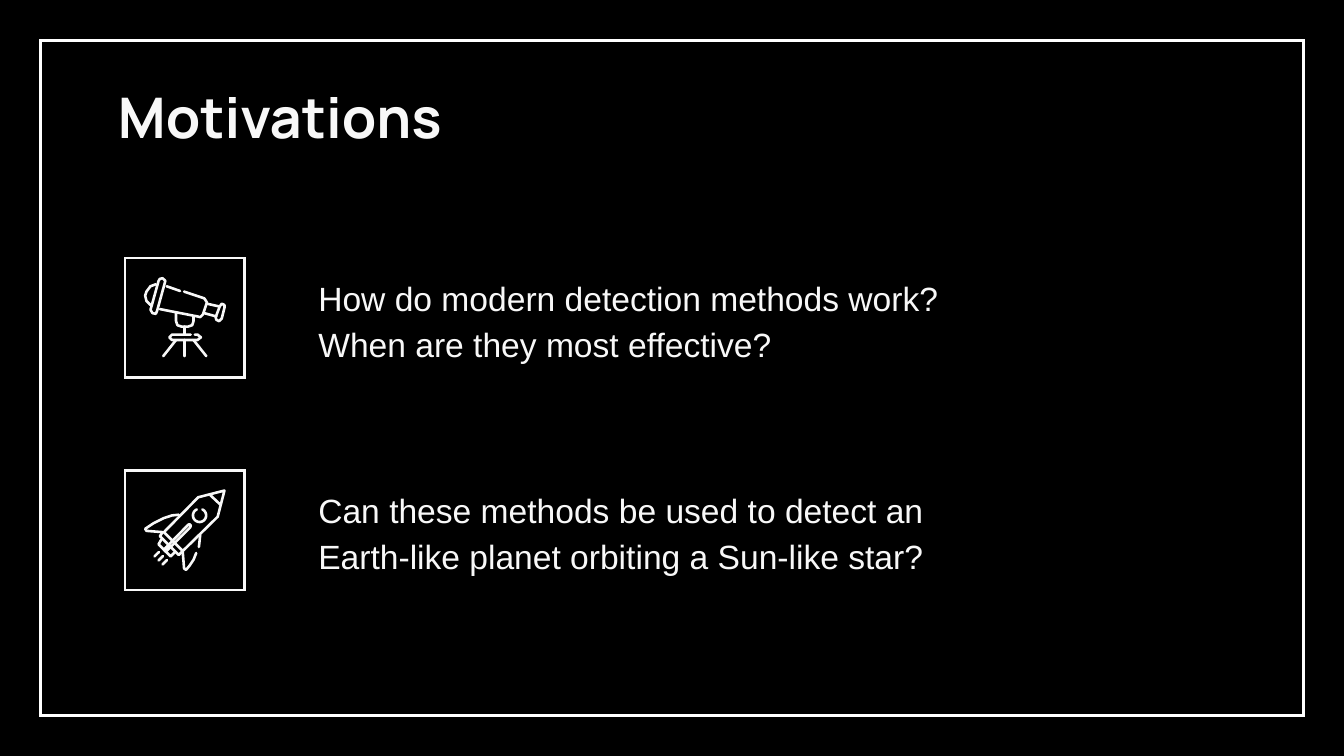
from math import cos, radians, sin

from lxml.etree import SubElement
from pptx import Presentation
from pptx.dml.color import RGBColor
from pptx.enum.shapes import MSO_SHAPE
from pptx.enum.text import MSO_ANCHOR
from pptx.oxml.ns import qn
from pptx.util import Inches, Pt

COLORS = {"space": "000000", "frame": "FFFFFF", "ink": "F8F8F8"}
WIDTH = 10
HEIGHT = WIDTH * 9 / 16
MARGIN = 0.03 * WIDTH
TILE = 0.89
TILE_LEFT, TEXT_LEFT, TEXT_WIDTH = 0.93, 2.27, 5.32
FIRST_ROW, ROW_STEP = 1.92, 1.58
TITLE_BOX = (0.78, 0.59, WIDTH - 2 * 0.78, 0.7)
TITLE_FORMAT = {"name": "Manrope", "size": Pt(30), "bold": True}
QUESTION_FORMAT = {"name": "Arial", "size": Pt(18), "bold": False}

TELESCOPE = [
    [(23, 19.5), (19, 21), (16, 25), (15, 28), (16, 32), (19, 35)],
    [(28, 15), (30, 17), (29.5, 19), (24, 39), (23, 41.5), (20.5, 41),
     (19, 38.5), (20, 35), (25, 17), (26, 15.5), (28, 15)],
    [(31, 21), (41, 24.5)],
    [(44, 25), (59, 30), (61, 33), (58, 42), (56, 44), (54, 43.5), (26, 38)],
    [(61, 34), (70, 36)],
    [(59, 41), (68, 43.5)],
    [(72, 34), (74, 35), (74, 37), (72, 45), (70, 47), (68, 46),
     (67.5, 44), (70.5, 36), (72, 34)],
    [(38, 41), (38, 47), (39, 50), (42, 51), (47, 51), (50, 50), (51, 47), (51, 44)],
    [(44.5, 51), (44.5, 57)],
    [(49, 57), (35, 57), (33, 59), (35, 61), (54, 61), (56.5, 59), (54, 57), (52, 57)],
    [(38, 61), (28.5, 73)],
    [(44.5, 61), (44.5, 73)],
    [(51, 61), (60.5, 73)],
]
PORTHOLE = [(55.5 + 4.9 * cos(radians(a)), 33.5 + 4.9 * sin(radians(a)))
            for a in range(-65, 246, 10)]
FLAMES = [[(25.3 + d, 60.7 + d), (22 + d, 64 + d)] for d in (0, 3, 6)]
ROCKET = [
    [(74, 15), (54.5, 20), (29, 46), (43, 60), (69, 34.5), (74, 15)],
    [(63.5, 18.5), (71, 25.5)],
    [(40, 33), (35, 33.5), (29, 35.5), (21, 39.5), (15, 43.5), (16, 45), (28.5, 46)],
    [(28, 46), (26, 49), (40, 63), (43, 60)],
    [(27, 51.5), (25, 55), (34, 64), (37, 61)],
    [(48, 40), (49, 41), (48.5, 42.5), (36, 55), (30.5, 60.5), (29, 59),
     (47, 40.5), (48, 40)],
    [(43, 61), (44, 73), (45.5, 74), (48, 71), (51, 66.5), (53, 61.5)],
    [(56, 48), (55, 57)],
    PORTHOLE,
    *FLAMES,
]
MOTIVATIONS = [
    (TELESCOPE, "How do modern detection methods work? When are they most effective?"),
    (ROCKET, "Can these methods be used to detect an Earth-like planet orbiting a Sun-like star?"),
]


def outline(shape, color, weight, join):
    """Leave a shape unfilled and give it a plain line with the given corners."""
    shape.shadow.inherit = False
    shape.fill.background()
    shape.line.color.rgb = RGBColor.from_string(COLORS[color])
    shape.line.width = Pt(weight)
    SubElement(shape.line._get_or_add_ln(), qn(f"a:{join}"))


def add_frame(slide, box, color):
    """Draw an outlined rectangle in the given box."""
    frame = slide.shapes.add_shape(MSO_SHAPE.RECTANGLE, *map(Inches, box))
    outline(frame, color, 1.5, "miter")


def add_text(slide, box, text, font_format, spacing):
    """Write one paragraph from the top left of the box."""
    frame = slide.shapes.add_textbox(*map(Inches, box)).text_frame
    frame_format = {"word_wrap": True, "vertical_anchor": MSO_ANCHOR.TOP}
    frame_format |= {f"margin_{side}": Inches(0.1)
                     for side in ("left", "top", "right", "bottom")}
    for key, value in frame_format.items():
        setattr(frame, key, value)
    paragraph = frame.paragraphs[0]
    paragraph.line_spacing = spacing
    run = paragraph.add_run()
    run.text = text
    for key, value in font_format.items():
        setattr(run.font, key, value)
    run.font.color.rgb = RGBColor.from_string(COLORS["ink"])


def add_icon(slide, left, top, strokes):
    """Draw strokes, given in hundredths of an inch from the tile's corner."""
    placed = [[(Inches(left + x / 100), Inches(top + y / 100)) for x, y in stroke]
              for stroke in strokes]
    builder = slide.shapes.build_freeform(*placed[0][0])
    for stroke in placed:
        builder.move_to(*stroke[0])
        builder.add_line_segments(stroke[1:], close=False)
    icon = builder.convert_to_shape()
    outline(icon, "ink", 1.4, "round")
    icon.line._get_or_add_ln().set("cap", "rnd")


def add_motivation(slide, top, strokes, question):
    """Place a framed icon with its question on the right."""
    add_frame(slide, (TILE_LEFT, top, TILE, TILE), "ink")
    add_icon(slide, TILE_LEFT, top, strokes)
    add_text(slide, (TEXT_LEFT, top, TEXT_WIDTH, 0.7), question, QUESTION_FORMAT, 1.15)


def main():
    """Build and save the slide."""
    deck = Presentation()
    deck.slide_width, deck.slide_height = Inches(WIDTH), Inches(HEIGHT)
    slide = deck.slides.add_slide(deck.slide_layouts[6])
    slide.background.fill.solid()
    slide.background.fill.fore_color.rgb = RGBColor.from_string(COLORS["space"])
    add_frame(slide, (MARGIN, MARGIN, WIDTH - 2 * MARGIN, HEIGHT - 2 * MARGIN), "frame")
    add_text(slide, TITLE_BOX, "Motivations", TITLE_FORMAT, 0.85)
    for row, (strokes, question) in enumerate(MOTIVATIONS):
        add_motivation(slide, FIRST_ROW + row * ROW_STEP, strokes, question)
    deck.save("out.pptx")


if __name__ == "__main__":
    main()
